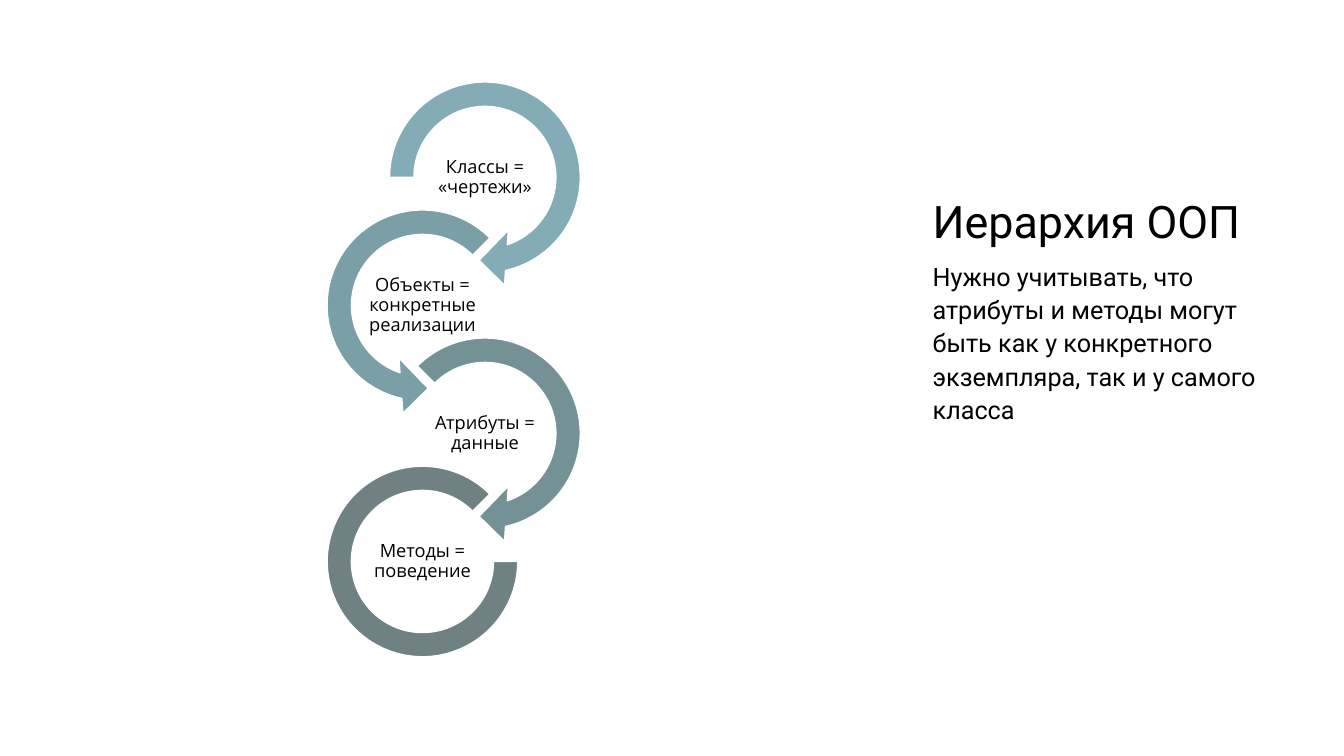
from pptx import Presentation
from pptx.dml.color import RGBColor
from pptx.enum.shapes import MSO_SHAPE
from pptx.enum.text import MSO_ANCHOR, MSO_AUTO_SIZE, PP_ALIGN
from pptx.util import Inches, Pt
from lxml import etree

RIGHT_ARROW = MSO_SHAPE.CIRCULAR_ARROW
LEFT_ARROW = MSO_SHAPE.LEFT_CIRCULAR_ARROW
BLOCK_ARC = MSO_SHAPE.BLOCK_ARC
TOP, MIDDLE, BOTTOM = MSO_ANCHOR.TOP, MSO_ANCHOR.MIDDLE, MSO_ANCHOR.BOTTOM
LEFT, CENTER = PP_ALIGN.LEFT, PP_ALIGN.CENTER
NO_AUTOFIT = MSO_AUTO_SIZE.NONE

BLACK = RGBColor(0x00, 0x00, 0x00)
WHITE = RGBColor(0xFF, 0xFF, 0xFF)
SKY = RGBColor(0x84, 0xAC, 0xB6)
TEAL = RGBColor(0x7B, 0x9F, 0xA7)
SAGE = RGBColor(0x74, 0x92, 0x96)
SLATE = RGBColor(0x6F, 0x81, 0x83)

# Ring centres: two alternating columns, equal steps downwards
RIGHT_X, LEFT_X = 4.81, 4.19
FIRST_Y, STEP_Y = 1.76, 1.27
LABEL_W, LABEL_H = 1.23, 0.61

# Label, shape, size, colour, adjustments
RINGS = [
    ("Классы = «чертежи»", RIGHT_ARROW, 2.2, SKY,
     (0.11, 11.42, 45, 108, 0.125)),
    ("Объекты = конкретные реализации", LEFT_ARROW, 2.2, TEAL,
     (0.11, 11.42, 63, 189, 0.125)),
    ("Атрибуты = данные", RIGHT_ARROW, 2.2, SAGE,
     (0.11, 11.42, 45, 135, 0.125)),
    ("Методы = поведение", BLOCK_ARC, 1.89, SLATE, (0, 189, 0.127)),
]


def write_text(sp, text, font, size, anchor, align, inset=0):
    tf = sp.text_frame
    tf.word_wrap = True
    tf.auto_size = NO_AUTOFIT
    tf.vertical_anchor = anchor
    tf.margin_left = tf.margin_right = Inches(inset)
    tf.margin_top = tf.margin_bottom = Inches(inset)
    p = tf.paragraphs[0]
    p.alignment = align
    r = p.add_run()
    r.text = text
    r.font.name = font
    r.font.size = Pt(size)
    r.font.color.rgb = BLACK
    return p


def place(sp, x, y, w, h):
    sp.left, sp.top = Inches(x), Inches(y)
    sp.width, sp.height = Inches(w), Inches(h)


def remove_bullet(p):
    pPr = p._p.get_or_add_pPr()
    pPr.set("marL", "0")
    pPr.set("indent", "0")
    ns = pPr.nsmap["a"]
    etree.SubElement(pPr, "{%s}buNone" % ns)


def add_ring(shapes, kind, cx, cy, size, color, adjustments):
    sp = shapes.add_shape(kind, Inches(cx - size / 2), Inches(cy - size / 2),
                          Inches(size), Inches(size))
    for i, value in enumerate(adjustments):
        sp.adjustments[i] = value
    sp.shadow.inherit = False
    sp.fill.solid()
    sp.fill.fore_color.rgb = color
    sp.line.color.rgb = WHITE
    sp.line.width = Pt(1)


def add_label(shapes, text, cx, cy):
    sp = shapes.add_textbox(Inches(cx - LABEL_W / 2), Inches(cy - LABEL_H / 2),
                            Inches(LABEL_W), Inches(LABEL_H))
    p = write_text(sp, text, "Open Sans", 13, MIDDLE, CENTER, 0.01)
    p.line_spacing = 0.9
    p.space_after = Pt(4.5)


def main():
    prs = Presentation()
    prs.slide_width, prs.slide_height = Inches(13.33), Inches(7.5)
    s = prs.slides.add_slide(prs.slide_layouts[1])

    # Title and explanation
    title, body = s.shapes.title, s.placeholders[1]
    place(title, 9.25, 0.66, 3.46, 1.8)
    write_text(title, "Иерархия ООП", "Roboto", 32, BOTTOM, LEFT)
    place(body, 9.25, 2.56, 3.46, 3.94)
    p = write_text(body, "Нужно учитывать, что атрибуты и методы могут быть как "
                   "у конкретного экземпляра, так и у самого класса",
                   "Roboto", 18, TOP, LEFT)
    p.line_spacing = 1.1
    p.space_before = Pt(8)
    remove_bullet(p)

    # Chain of rings with labels
    shapes = s.shapes.add_group_shape().shapes
    for i, (text, kind, size, color, adjustments) in enumerate(RINGS):
        cx = LEFT_X if i % 2 else RIGHT_X
        cy = FIRST_Y + i * STEP_Y
        add_ring(shapes, kind, cx, cy, size, color, adjustments)
        add_label(shapes, text, cx, cy)

    prs.save("out.pptx")


main()
